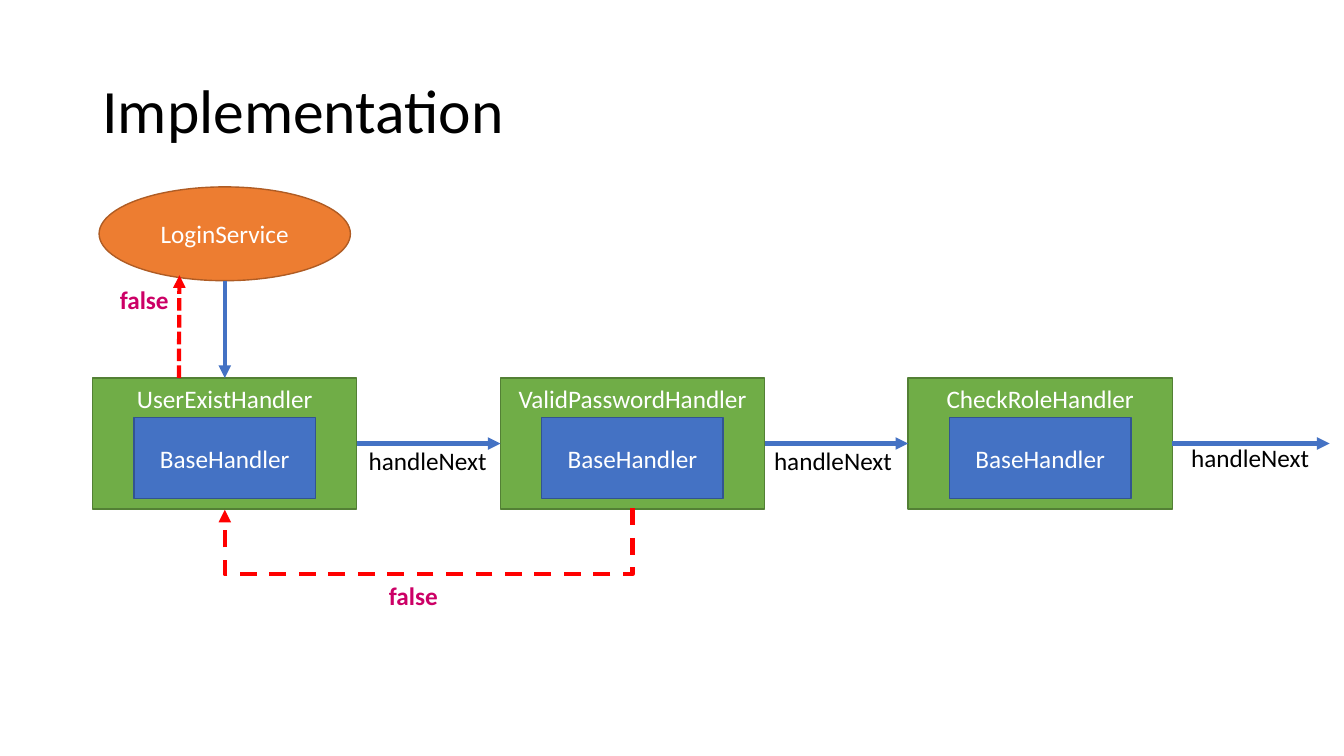
from lxml.etree import SubElement
from pptx import Presentation
from pptx.dml.color import RGBColor
from pptx.enum.dml import MSO_LINE
from pptx.enum.shapes import MSO_CONNECTOR, MSO_SHAPE
from pptx.enum.text import MSO_ANCHOR, PP_ALIGN
from pptx.oxml.ns import qn
from pptx.util import Pt

BLACK = RGBColor(0x00, 0x00, 0x00)
WHITE = RGBColor(0xFF, 0xFF, 0xFF)
GREEN = RGBColor(0x70, 0xAD, 0x47)
DARK_GREEN = RGBColor(0x53, 0x80, 0x35)
BLUE = RGBColor(0x44, 0x72, 0xC4)
DARK_BLUE = RGBColor(0x32, 0x54, 0x91)
ORANGE = RGBColor(0xED, 0x7D, 0x31)
DARK_ORANGE = RGBColor(0xAF, 0x5C, 0x24)
RED = RGBColor(0xFF, 0x00, 0x00)
MAGENTA = RGBColor(0xCC, 0x00, 0x66)

# Handler grid, in points
HANDLERS = ["UserExistHandler", "ValidPasswordHandler", "CheckRoleHandler"]
LEFT, TOP, WIDTH, HEIGHT = 66.24, 270, 188.64, 93.6
STEP = 291.24
CENTER = LEFT + WIDTH / 2
MIDDLE = TOP + HEIGHT / 2
BOTTOM = TOP + HEIGHT


class Diagram:
    font_name = "Calibri"
    text_size = 18
    arrow_width = 3

    def __init__(self, page):
        self.page = page

    def style(self, para, size, color, bold=False):
        para.font.name = self.font_name
        para.font.size = Pt(size)
        para.font.color.rgb = color
        para.font.bold = bold

    def title(self, text, left, top, width, height):
        box = self.page.shapes.title
        box.left, box.top, box.width, box.height = map(Pt, (left, top, width, height))
        box.text_frame.text = text
        box.text_frame.vertical_anchor = MSO_ANCHOR.MIDDLE
        para = box.text_frame.paragraphs[0]
        para.alignment = PP_ALIGN.LEFT
        para.line_spacing = 0.9
        self.style(para, 44, BLACK)

    def shape(self, kind, text, left, top, width, height, fill, line,
              anchor=MSO_ANCHOR.MIDDLE, parent=None):
        shapes = (parent or self.page).shapes
        box = shapes.add_shape(kind, Pt(left), Pt(top), Pt(width), Pt(height))
        box.shadow.inherit = False
        box.fill.solid()
        box.fill.fore_color.rgb = fill
        box.line.color.rgb = line
        box.line.width = Pt(1)
        box.text_frame.text = text
        box.text_frame.vertical_anchor = anchor
        para = box.text_frame.paragraphs[0]
        para.alignment = PP_ALIGN.CENTER
        self.style(para, self.text_size, WHITE)

    def handler(self, name, left):
        group = self.page.shapes.add_group_shape()
        self.shape(MSO_SHAPE.RECTANGLE, name, left, TOP, WIDTH, HEIGHT,
                   GREEN, DARK_GREEN, MSO_ANCHOR.TOP, group)
        self.shape(MSO_SHAPE.RECTANGLE, "BaseHandler", left + 29.5, TOP + 28,
                   129.6, 58.3, BLUE, DARK_BLUE, parent=group)

    def label(self, text, left, top, width, color=BLACK, bold=False):
        box = self.page.shapes.add_textbox(Pt(left), Pt(top), Pt(width), Pt(29))
        box.text_frame.word_wrap = False
        box.text_frame.text = text
        self.style(box.text_frame.paragraphs[0], self.text_size, color, bold)

    def arrow(self, start, end, color=BLUE, dash=None, kind=MSO_CONNECTOR.STRAIGHT):
        connector = self.page.shapes.add_connector(kind, *map(Pt, (*start, *end)))
        connector.line.color.rgb = color
        connector.line.width = Pt(self.arrow_width)
        if dash:
            connector.line.dash_style = dash
        properties = connector._element.spPr
        SubElement(properties.find(qn("a:ln")), qn("a:tailEnd"), type="triangle")
        SubElement(properties, qn("a:effectLst"))
        return connector

    def return_arrow(self, start_x, end_x, y, depth):
        # A one-point-wide elbow turned a quarter, bulging down by depth
        middle_x, half = (start_x + end_x) / 2, (start_x - end_x) / 2
        connector = self.arrow((middle_x - 0.5, y - half), (middle_x + 0.5, y + half),
                               RED, MSO_LINE.DASH, MSO_CONNECTOR.ELBOW)
        properties = connector._element.spPr
        properties.find(qn("a:xfrm")).set("rot", str(90 * 60000))
        guides = properties.find(qn("a:prstGeom")).find(qn("a:avLst"))
        SubElement(guides, qn("a:gd"), name="adj1", fmla=f"val {int(depth * 100000)}")


def main():
    deck = Presentation()
    deck.slide_width, deck.slide_height = Pt(960), Pt(540)
    diagram = Diagram(deck.slides.add_slide(deck.slide_layouts[5]))
    diagram.title("Implementation", 66, 28.75, 828, 104.4)

    # Handlers and the service that calls them
    for index, name in enumerate(HANDLERS):
        diagram.handler(name, LEFT + index * STEP)
    diagram.shape(MSO_SHAPE.OVAL, "LoginService", 70.8, 133.5, 179.5, 67,
                  ORANGE, DARK_ORANGE)

    # Forward calls
    diagram.arrow((CENTER, 200.5), (CENTER, TOP))
    arrow_ends = [LEFT + STEP, LEFT + 2 * STEP, 949.7]
    label_places = [(256.3, 314.6), (545.8, 314.6), (843.8, 312.5)]
    for index, (end, place) in enumerate(zip(arrow_ends, label_places)):
        diagram.arrow((LEFT + WIDTH + index * STEP, MIDDLE), (end, MIDDLE))
        diagram.label("handleNext", *place, 100)

    # Failures going back
    diagram.arrow((127.8, TOP), (128.2, 196.6), RED, MSO_LINE.SQUARE_DOT)
    diagram.return_arrow(CENTER + STEP, CENTER, BOTTOM, 47.46)
    for left, top in [(78.5, 199.4), (270.7, 411.1)]:
        diagram.label("false", left, top, 49.7, MAGENTA, True)

    deck.save("out.pptx")


if __name__ == "__main__":
    main()
